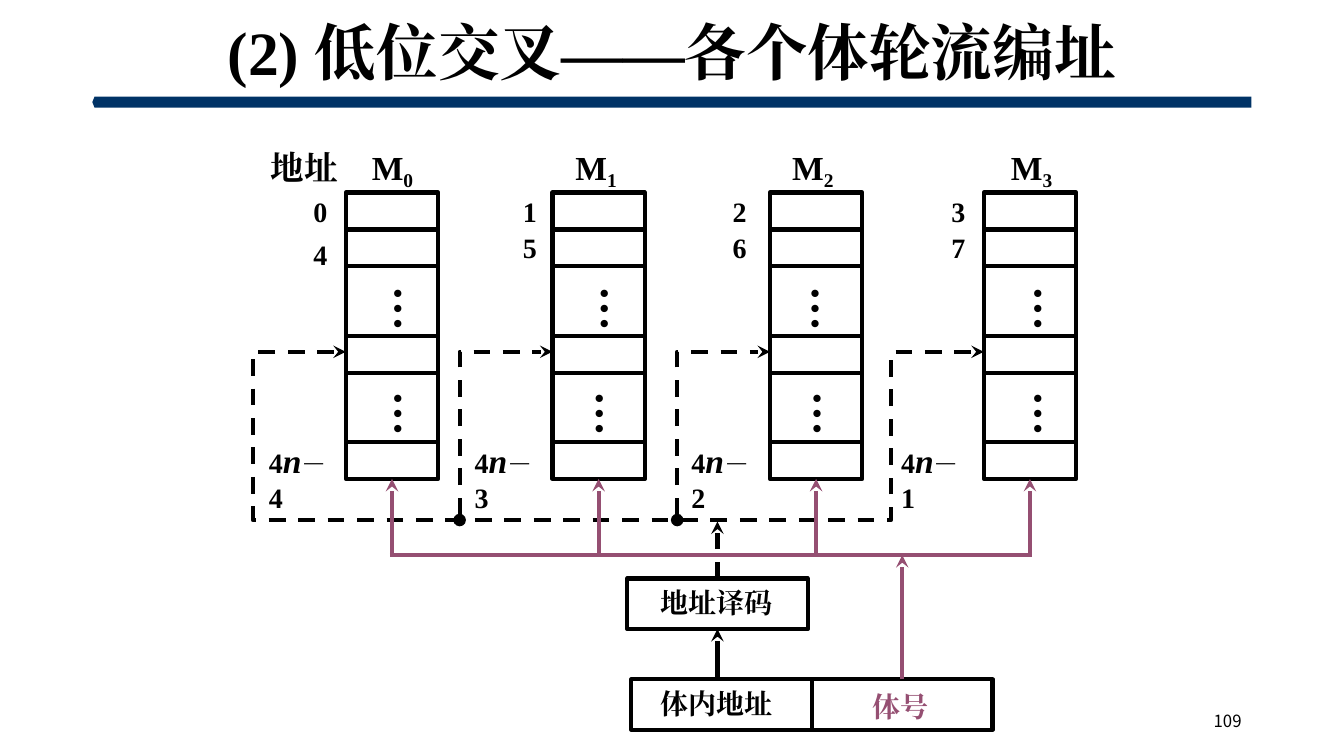
import itertools
from dataclasses import dataclass
from typing import NamedTuple

import pptx
import pptx.dml.color
import pptx.enum.dml
import pptx.enum.shapes
import pptx.enum.text
import pptx.oxml.ns
import pptx.util
from lxml import etree

Pt = pptx.util.Pt
qn = pptx.oxml.ns.qn
ALIGN = pptx.enum.text.PP_ALIGN
ANCHOR = pptx.enum.text.MSO_ANCHOR
SHAPE = pptx.enum.shapes.MSO_SHAPE


@dataclass(frozen=True)
class Theme:
    ink: str = "000000"
    bar: str = "003366"
    accent: str = "954F72"
    serif: str = "Times New Roman"
    sans: str = "Noto Sans CJK SC"
    title: int = 44
    dots: int = 32
    large: int = 24
    label: int = 20
    sign: int = 18
    number: int = 12
    stroke: float = 3


THEME = Theme()


class Box(NamedTuple):
    left: float
    top: float
    width: float
    height: float

    def points(self):
        return [Pt(value) for value in self]


class Bank(NamedTuple):
    left: float
    name_left: float
    address_left: float
    second_top: float
    last_left: float
    dots_lefts: tuple


BANKS = [
    Bank(247, 258.5, 216.7, 166.3, 185, (265, 265)),
    Bank(394.6, 404, 366.5, 161.3, 332, (412.6, 409)),
    Bank(550, 558.7, 516.2, 161.3, 486.7, (563, 564.5)),
    Bank(702.7, 715, 672.5, 161.3, 636.5, (722.2, 722.2)),
]
BANK_WIDTH = 66
BANK_TOP = 137.5
ROW_HEIGHTS = [26.4, 26.4, 49.5, 26.4, 49.5, 26.4]
LOOP_OFFSET = 66.3
LOOP_TOP, LOOP_BOTTOM = 251.3, 371.5
BUS_Y = 396.5


def rgb(value):
    return pptx.dml.color.RGBColor.from_string(value)


# Text and line helpers
def add_span(para, text, size, color=THEME.ink, bold=True, italic=False,
             baseline=None, face=THEME.serif):
    span = para.add_run()
    span.text = text
    font = span.font
    font.size, font.bold, font.italic, font.name = Pt(size), bold, italic, face
    font.color.rgb = rgb(color)
    properties = font._element
    etree.SubElement(properties, qn("a:ea")).set("typeface", face)
    if baseline:
        properties.set("baseline", str(baseline))


def add_label(slide, box, spans, wrap=False, vertical=False):
    """Each span is (text, size) or (text, size, options)."""
    label = slide.shapes.add_textbox(*box.points())
    frame = label.text_frame
    frame.word_wrap = wrap
    if vertical:
        frame._txBody.bodyPr.set("vert", "eaVert")
    for text, size, *options in spans:
        add_span(frame.paragraphs[0], text, size, **(options[0] if options else {}))
    return label


def style_line(line, color=THEME.ink, dashed=False, head=None, tail=None):
    line.color.rgb = rgb(color)
    line.width = Pt(THEME.stroke)
    if dashed:
        line.dash_style = pptx.enum.dml.MSO_LINE.DASH
    for tag, kind in (("a:headEnd", head), ("a:tailEnd", tail)):
        if kind:
            etree.SubElement(line._get_or_add_ln(), qn(tag)).set("type", kind)


def add_frame(slide, box):
    frame = slide.shapes.add_shape(SHAPE.RECTANGLE, *box.points())
    frame.shadow.inherit = False
    frame.fill.background()
    style_line(frame.line)
    return frame


def add_line(slide, start, end, begin_at=None, end_at=None, **style):
    line = slide.shapes.add_connector(
        pptx.enum.shapes.MSO_CONNECTOR.STRAIGHT, *map(Pt, start + end))
    if begin_at:
        line.begin_connect(*begin_at)
    if end_at:
        line.end_connect(*end_at)
    style_line(line.line, **style)
    etree.SubElement(line._element.spPr, qn("a:effectLst"))


def add_loop(slide, corners, head):
    corners = [(Pt(x), Pt(y)) for x, y in corners]
    builder = slide.shapes.build_freeform(*corners[0])
    builder.add_line_segments(corners[1:], close=False)
    loop = builder.convert_to_shape()
    loop.shadow.inherit = False
    loop.fill.background()
    style_line(loop.line, dashed=True, head=head, tail="stealth")


# Title, bar and page number
def add_header(slide, box):
    bar = slide.shapes.add_shape(
        SHAPE.PENTAGON, *Box(box.left, box.top + box.height, box.width, 8).points())
    bar.adjustments[0] = 0.2
    bar._element.spPr.find(qn("a:xfrm")).set("flipH", "1")
    bar.shadow.inherit = False
    bar.fill.solid()
    bar.fill.fore_color.rgb = rgb(THEME.bar)
    bar.line.fill.background()

    title = slide.shapes.title
    title.left, title.top, title.width, title.height = box.points()
    frame = title.text_frame
    frame.auto_size = pptx.enum.text.MSO_AUTO_SIZE.NONE
    frame.vertical_anchor = ANCHOR.MIDDLE
    para = frame.paragraphs[0]
    para.alignment, para.line_spacing = ALIGN.CENTER, 0.9
    add_span(para, "(2) 低位交叉——各个体轮流编址", THEME.title)


def add_page_number(slide, box):
    number = add_label(slide, box, [
        ("109", THEME.number, {"bold": False, "face": THEME.sans})], wrap=True)
    number.text_frame.vertical_anchor = ANCHOR.MIDDLE
    number.text_frame.paragraphs[0].alignment = ALIGN.RIGHT


# One memory bank with its addresses; returns its bottom row
def add_bank(slide, index, bank):
    tops = [BANK_TOP, *itertools.accumulate(ROW_HEIGHTS, initial=BANK_TOP)][1:]
    for top, height in zip(tops, ROW_HEIGHTS):
        row = add_frame(slide, Box(bank.left, top, BANK_WIDTH, height))
    add_label(slide, Box(bank.name_left, 101.5, 45.4, 36), [
        ("M", THEME.large), (str(index), THEME.large, {"baseline": -20000})])
    for top, address in ((135.4, index), (bank.second_top, index + 4)):
        add_label(slide, Box(bank.address_left, top, 24.5, 31),
                  [(str(address), THEME.label)])
    for left, top in zip(bank.dots_lefts, (197.3, 272.2)):
        add_label(slide, Box(left, top, 52.6, 39.6), [("…", THEME.dots)], vertical=True)
    add_label(slide, Box(bank.last_left, 311, 62, 36), [
        ("4", THEME.label), ("n", THEME.large, {"italic": True}),
        ("－", THEME.sign), (str(4 - index), THEME.label)], wrap=True)
    return row


# Dashed word-select lines
def add_select_lines(slide):
    first, *middle, last = BANKS
    left, right = first.left - LOOP_OFFSET, last.left - LOOP_OFFSET
    add_loop(slide, [(first.left, LOOP_TOP), (left, LOOP_TOP), (left, LOOP_BOTTOM),
                     (right, LOOP_BOTTOM), (right, LOOP_TOP), (last.left, LOOP_TOP)],
             head="stealth")
    for bank in middle:
        left = bank.left - LOOP_OFFSET
        add_loop(slide, [(left, LOOP_BOTTOM), (left, LOOP_TOP), (bank.left, LOOP_TOP)],
                 head="oval")


# Address register, decoder and bank-select bus
def add_address_logic(slide, box, bottom_rows):
    decoder = add_frame(slide, Box(box.left, box.top, 129, 36))
    add_frame(slide, Box(box.left + 3, box.top + 72, 129, 36))
    bank_field = add_frame(slide, Box(box.left + 132, box.top + 72, 129, 36))
    for left, top, text, color in ((16.4, 1.5, "地址译码", THEME.ink),
                                   (16.4, 73.5, "体内地址", THEME.ink),
                                   (168.4, 75.5, "体号", THEME.accent)):
        add_label(slide, Box(box.left + left, box.top + top, 94.3, 31),
                  [(text, THEME.label, {"color": color})])
    middle = box.left + 64.5
    add_line(slide, (middle, box.top + 72), (middle, box.top + 36),
             end_at=(decoder, 2), tail="stealth")
    add_line(slide, (middle, box.top), (middle, LOOP_BOTTOM + 1),
             begin_at=(decoder, 0), dashed=True, tail="stealth")

    bus = {"color": THEME.accent}
    field_middle = box.left + 196.5
    add_line(slide, (field_middle, box.top + 72), (field_middle, BUS_Y),
             begin_at=(bank_field, 0), tail="stealth", **bus)
    centers = [bank.left + BANK_WIDTH / 2 for bank in BANKS]
    for center, row in zip(centers, bottom_rows):
        add_line(slide, (center, BUS_Y), (center, 342), end_at=(row, 2),
                 tail="stealth", **bus)
    add_line(slide, (centers[0] - 1.5, BUS_Y), (centers[-1] + 1.5, BUS_Y), **bus)


def main():
    deck = pptx.Presentation()
    deck.slide_width, deck.slide_height = Pt(960), Pt(540)
    slide = deck.slides.add_slide(deck.slide_layouts[5])
    add_header(slide, Box(66, 10, 828, 59))
    add_page_number(slide, Box(678, 500.5, 216, 28.8))
    add_label(slide, Box(186.5, 101.5, 62.6, 36), [("地址", THEME.large)])
    bottom_rows = [add_bank(slide, index, bank) for index, bank in enumerate(BANKS)]
    add_select_lines(slide)
    add_address_logic(slide, Box(448, 413.3, 261, 108), bottom_rows)
    deck.save("out.pptx")


if __name__ == "__main__":
    main()
